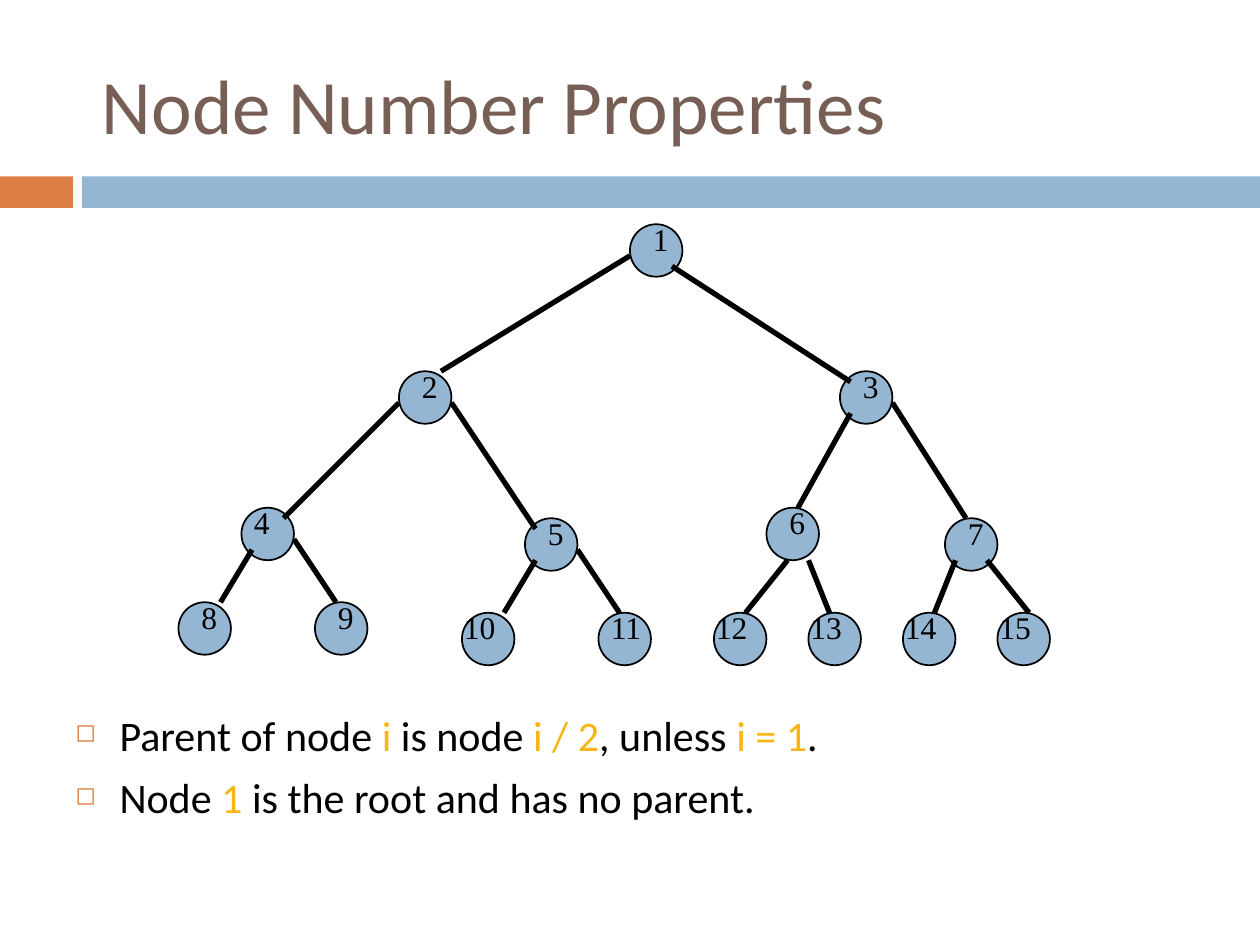
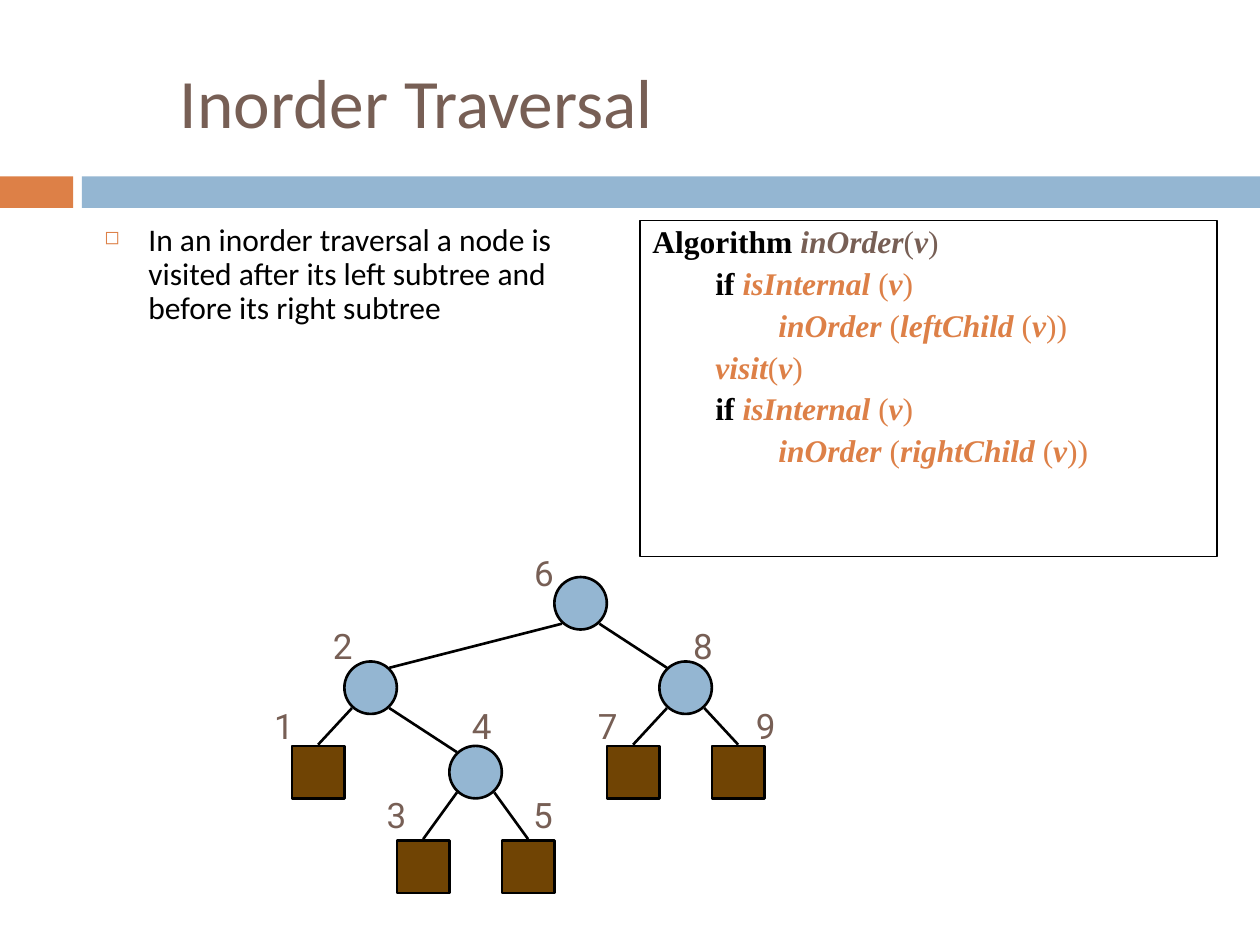
import pptx
import pptx.util
import pptx.dml.color
import pptx.enum.shapes
import pptx.enum.text
import pptx.oxml
import pptx.oxml.ns
import lxml.etree


class Theme:
    brown, blue, rust = "775F55", "94B6D2", "DD8047"
    gold, wood, black = "F7B615", "704404", "000000"
    sans, serif, digit = "Calibri", "Times New Roman", "Roboto"
    title, small_title, body, text, mark = 44, 39.6, 24, 18, 20


WIDE, HIGH = 10, 7.5
BANDS = [(0, 0.58, Theme.rust), (0.65, 9.35, Theme.blue)]

FACTS = [
    [("Parent of node ", Theme.black), ("i", Theme.gold), (" is node ", Theme.black),
     ("i / 2", Theme.gold), (", unless ", Theme.black), ("i = 1", Theme.gold), (".", Theme.black)],
    [("Node ", Theme.black), ("1", Theme.gold), (" is the root and has no parent.", Theme.black)],
]
INTRO = [[("In an inorder traversal a node is visited after its left subtree "
           "and before its right subtree", Theme.black)]]

UNIT = 1 / 12
DISC = 5 * UNIT
HEAP_TOP = 1.78
HEAP = [(60, 0), (38, 14), (80, 14), (23, 27), (50, 28), (73, 27), (90, 28),
        (17, 36), (30, 36), (44, 37), (57, 37), (68, 37), (77, 37), (86, 37), (95, 37)]
JOINS = {
    2: ((0, 3), (4, 0)), 3: ((4, 4), (1, 1)), 4: ((0, 3), (4, 1)), 5: ((5, 3), (1, 1)),
    6: ((1, 4), (3, 0)), 7: ((5, 3), (2, 0)), 8: ((1, 4), (4, 0)), 9: ((5, 3), (2, 0)),
    10: ((1, 4), (4, 0)), 11: ((5, 3), (2, 0)), 12: ((2, 5), (3, 0)), 13: ((4, 5), (2, 0)),
    14: ((1, 4), (3, 0)), 15: ((4, 4), (3, 0)),
}
SHIFTS = {4: 0, 11: 0}

CODE = [
    (0, Theme.brown, [("Algorithm ", "key"), ("inOrder", "name"), ("(", ""), ("v", "name"), (")", "")]),
    (1, Theme.rust, [("if ", "key"), ("isInternal ", "name"), ("(", ""), ("v", "name"), (")", "")]),
    (2, Theme.rust, [("inOrder", "name"), (" (", ""), ("leftChild ", "name"), ("(", ""),
                     ("v", "name"), ("))", "")]),
    (1, Theme.rust, [("visit", "name"), ("(", ""), ("v", "name"), (")", "")]),
    (1, Theme.rust, [("if ", "key"), ("isInternal ", "name"), ("(", ""), ("v", "name"), (")", "")]),
    (2, Theme.rust, [("inOrder", "name"), (" (", ""), ("rightChild ", "name"), ("(", ""),
                     ("v", "name"), ("))", "")]),
]

ROOT_LEFT = 4.4
ROWS = [4.58, 5.25, 5.92, 6.67]
VISITS = {
    6: (0, 0, None, (-0.26, -0.25)), 8: (2, 1, 6, (0.17, -0.34)),
    2: (-4, 1, 6, (-0.19, -0.34)), 4: (-2, 2, 2, (0.08, -0.38)),
    1: (-5, 2, 2, (-0.24, -0.38)), 3: (-3, 3, 4, (-0.18, -0.42)),
    5: (-1, 3, 4, (0.15, -0.42)), 7: (1, 2, 8, (-0.17, -0.38)),
    9: (3, 2, 8, (0.25, -0.38)),
}

KIND = pptx.enum.shapes.MSO_SHAPE
ANCHOR = pptx.enum.text.MSO_ANCHOR
ALIGN = pptx.enum.text.PP_ALIGN


def inch(*sizes):
    return [pptx.util.Inches(size) for size in sizes]


def tint(code):
    return pptx.dml.color.RGBColor.from_string(code)


def draw(slide, kind, spot, fill=None, edge=None):
    shape = slide.shapes.add_shape(kind, *inch(*spot))
    shape.shadow.inherit = False
    if fill:
        shape.fill.solid()
        shape.fill.fore_color.rgb = tint(fill)
    else:
        shape.fill.background()
    if edge:
        shape.line.color.rgb = tint(Theme.black)
        shape.line.width = pptx.util.Pt(edge)
    else:
        shape.line.fill.background()
    return shape


def link(slide, start, end, width):
    line = slide.shapes.add_connector(pptx.enum.shapes.MSO_CONNECTOR.STRAIGHT,
                                      *inch(*start, *end))
    line.line.color.rgb = tint(Theme.black)
    line.line.width = pptx.util.Pt(width)
    lxml.etree.SubElement(line._element.spPr, pptx.oxml.ns.qn("a:effectLst"))


def write(par, text, face, size, color, bold=None, slant=None):
    run = par.add_run()
    run.text = text
    font = run.font
    font.name, font.size, font.color.rgb = face, pptx.util.Pt(size), tint(color)
    font.bold, font.italic = bold, slant


def add_box(slide, spot, wrap=True, anchor=ANCHOR.TOP):
    frame = slide.shapes.add_textbox(*inch(*spot)).text_frame
    frame.word_wrap = wrap
    frame.vertical_anchor = anchor
    return frame


def add_label(slide, spot, text, face, size, color, wrap=True, align=ALIGN.LEFT):
    par = add_box(slide, spot, wrap).paragraphs[0]
    par.alignment = align
    write(par, text, face, size, color)


def each_par(frame, items, gap):
    for place, item in enumerate(items):
        par = frame.add_paragraph() if place else frame.paragraphs[0]
        if place:
            par.space_before = pptx.util.Pt(gap)
        yield par, item


def indent(par, left, first=0):
    props = par._p.get_or_add_pPr()
    props.set("marL", str(pptx.util.Inches(left)))
    props.set("indent", str(pptx.util.Inches(first)))
    return props


def add_list(slide, spot, items, size, pitch=None):
    for par, runs in each_par(add_box(slide, spot), items, 7):
        props = indent(par, 0.35, -0.35)
        space = pptx.oxml.ns.nsdecls("a")
        for part in (f'<a:buClr {space}><a:srgbClr val="{Theme.rust}"/></a:buClr>',
                     f'<a:buSzPct {space} val="60000"/>',
                     f'<a:buChar {space} char="◻"/>'):
            props.append(pptx.oxml.parse_xml(part))
        if pitch:
            par.line_spacing = pitch
        for text, color in runs:
            write(par, text, Theme.sans, size, color)


def add_page(deck, title, spot, size):
    slide = deck.slides.add_slide(deck.slide_layouts[6])
    for left, width, color in BANDS:
        draw(slide, KIND.RECTANGLE, (left, 1.4, width, 0.25), color)
    frame = add_box(slide, spot, anchor=ANCHOR.MIDDLE)
    write(frame.paragraphs[0], title, Theme.sans, size, Theme.brown)
    return slide


def grid(node, offset=(0, 0)):
    col, row = HEAP[node - 1]
    return (col + offset[0]) * UNIT, HEAP_TOP + (row + offset[1]) * UNIT


def add_heap(slide):
    nodes = range(1, len(HEAP) + 1)
    for node in nodes:
        draw(slide, KIND.OVAL, (*grid(node), DISC, DISC), Theme.blue, 1)
    for node, (start, end) in JOINS.items():
        link(slide, grid(node // 2, start), grid(node, end), 3)
    for node in nodes:
        shift, width = (1, 4) if node < 10 else (-1, 8)
        spot = grid(node, (SHIFTS.get(node, shift), -1))
        add_label(slide, (*spot, width * UNIT, 6 * UNIT), str(node),
                  Theme.serif, Theme.text, Theme.black)


def add_code(slide):
    frame = draw(slide, KIND.RECTANGLE, (5.08, 1.75, 4.58, 2.67), edge=0.75).text_frame
    frame.word_wrap = True
    frame.vertical_anchor = ANCHOR.TOP
    for par, (level, color, runs) in each_par(frame, CODE, 4.4):
        indent(par, level / 2)
        par.alignment = ALIGN.LEFT
        par.line_spacing = 0.9
        for text, style in runs:
            write(par, text, Theme.serif, Theme.text,
                  Theme.black if style == "key" else color, style != "", style == "name")


def add_visits(slide):
    spots = {node: (ROOT_LEFT + col * DISC, ROWS[row])
             for node, (col, row, _, _) in VISITS.items()}
    inner = {above for _, _, above, _ in VISITS.values()}
    for node, spot in spots.items():
        kind, fill = (KIND.OVAL, Theme.blue) if node in inner else (KIND.RECTANGLE, Theme.wood)
        draw(slide, kind, (*spot, DISC, DISC), fill, 1.5)
    near, far = 0.06, DISC - 0.06
    for node, (_, _, above, _) in VISITS.items():
        if above:
            (left, top), (x, y) = spots[above], spots[node]
            out, back = (near, far) if x < left else (far, near)
            end = (x + back, y + 0.05) if node in inner else (x + DISC / 2, y - 0.01)
            link(slide, (left + out, top + 0.37), end, 1.5)
    for node, (_, _, _, (right, down)) in VISITS.items():
        x, y = spots[node]
        add_label(slide, (x + right, y + down, 0.35, 0.43), str(node),
                  Theme.digit, Theme.mark, Theme.brown, False, ALIGN.CENTER)


def main():
    deck = pptx.Presentation()
    deck.slide_width, deck.slide_height = inch(WIDE, HIGH)

    slide = add_page(deck, "Node Number Properties", (0.71, 0.32, 8.5, 1), Theme.title)
    add_list(slide, (0.5, 5.58, 9.08, 1.67), FACTS, Theme.body)
    add_heap(slide)

    slide = add_page(deck, "Inorder Traversal", (1.33, 0.42, 8.5, 0.76), Theme.small_title)
    add_list(slide, (0.73, 1.73, 4.1, 2.43), INTRO, Theme.text, 0.9)
    add_code(slide)
    add_visits(slide)

    deck.save("out.pptx")


if __name__ == "__main__":
    main()
